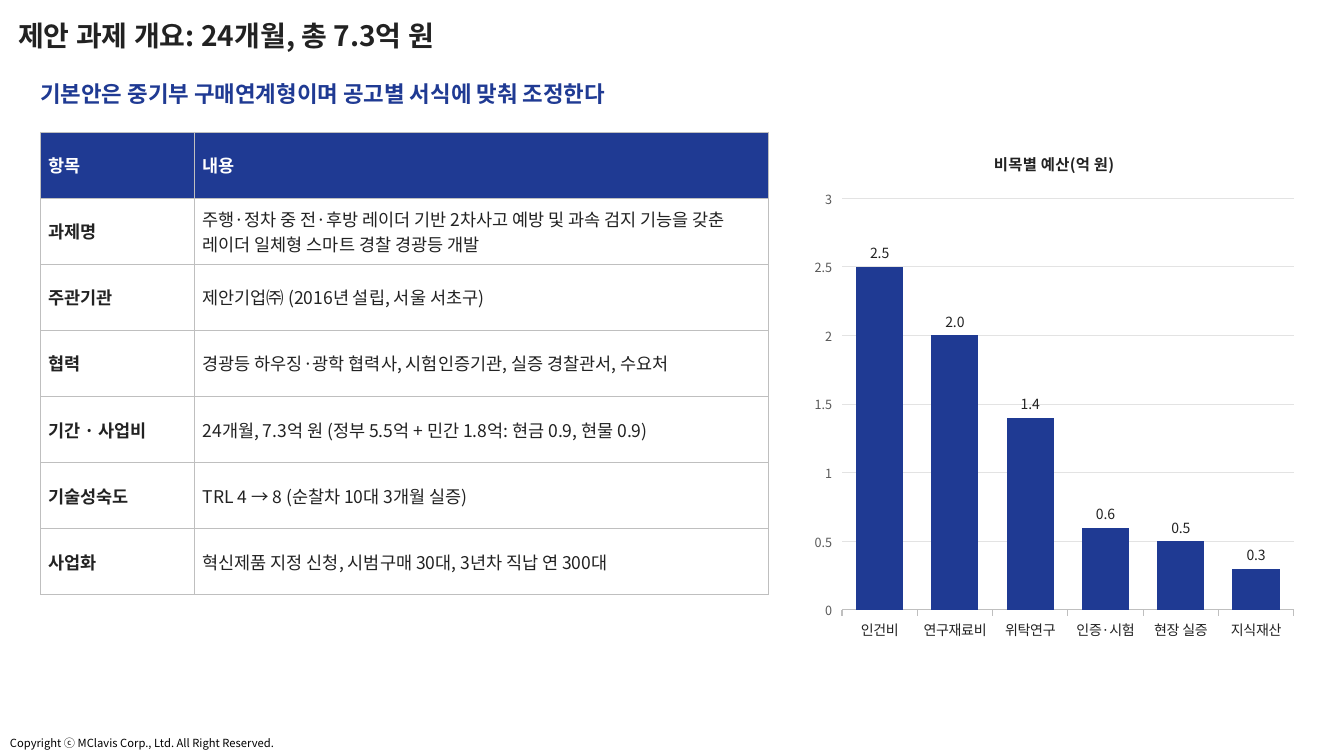
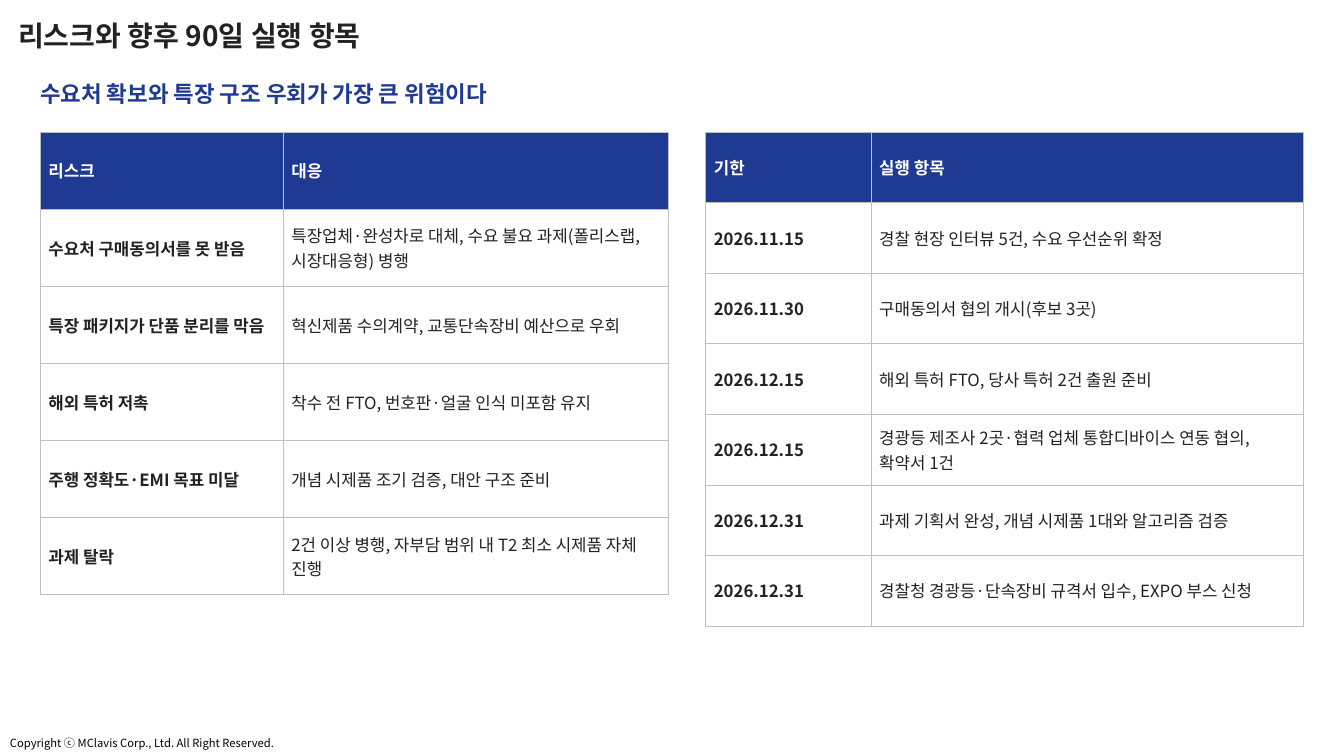
from dataclasses import dataclass

from lxml import etree
from pptx import Presentation
from pptx.chart.data import CategoryChartData
from pptx.dml.color import RGBColor
from pptx.enum.chart import XL_CHART_TYPE, XL_LABEL_POSITION, XL_TICK_LABEL_POSITION, XL_TICK_MARK
from pptx.enum.text import MSO_ANCHOR, MSO_AUTO_SIZE, PP_ALIGN
from pptx.oxml.ns import qn
from pptx.util import Pt

EMU_PER_PX = 9144
MIDDLE, TOP = MSO_ANCHOR.MIDDLE, MSO_ANCHOR.TOP
LEFT, CENTER = PP_ALIGN.LEFT, PP_ALIGN.CENTER
NO_FIT = MSO_AUTO_SIZE.NONE
FIT_SHAPE = MSO_AUTO_SIZE.SHAPE_TO_FIT_TEXT
COLUMNS = XL_CHART_TYPE.COLUMN_CLUSTERED
OUTSIDE_END = XL_LABEL_POSITION.OUTSIDE_END
LABELS_LOW = XL_TICK_LABEL_POSITION.LOW
TICK_OUT = XL_TICK_MARK.OUTSIDE
TITLE_ONLY = 5


@dataclass(frozen=True)
class Theme:
    font: str = "Noto Sans CJK KR"
    navy: str = "1F3A93"
    ink: str = "222222"
    black: str = "000000"
    white: str = "FFFFFF"
    border: str = "BFBFBF"
    grid: str = "E3E3E3"
    axis_ink: str = "595959"
    title: float = 20
    message: float = 16
    table_large: float = 12.5
    table: float = 12
    chart_title: float = 11
    chart: float = 10
    axis: float = 9
    footer: float = 8


THEME = Theme()
COPYRIGHT = "Copyright ⓒ MClavis Corp., Ltd. All Right Reserved."

OVERVIEW = [
    ("항목", "내용"),
    ("과제명", "주행·정차 중 전·후방 레이더 기반 2차사고 예방 및 과속 검지 기능을 갖춘 레이더 일체형 스마트 경찰 경광등 개발"),
    ("주관기관", "제안기업㈜ (2016년 설립, 서울 서초구)"),
    ("협력", "경광등 하우징·광학 협력사, 시험인증기관, 실증 경찰관서, 수요처"),
    ("기간 · 사업비", "24개월, 7.3억 원 (정부 5.5억 + 민간 1.8억: 현금 0.9, 현물 0.9)"),
    ("기술성숙도", "TRL 4 → 8 (순찰차 10대 3개월 실증)"),
    ("사업화", "혁신제품 지정 신청, 시범구매 30대, 3년차 직납 연 300대"),
]
BUDGET = {
    "인건비": 2.5, "연구재료비": 2, "위탁연구": 1.4,
    "인증·시험": 0.6, "현장 실증": 0.5, "지식재산": 0.3,
}
RISKS = [
    ("리스크", "대응"),
    ("수요처 구매동의서를 못 받음", "특장업체·완성차로 대체, 수요 불요 과제(폴리스랩, 시장대응형) 병행"),
    ("특장 패키지가 단품 분리를 막음", "혁신제품 수의계약, 교통단속장비 예산으로 우회"),
    ("해외 특허 저촉", "착수 전 FTO, 번호판·얼굴 인식 미포함 유지"),
    ("주행 정확도·EMI 목표 미달", "개념 시제품 조기 검증, 대안 구조 준비"),
    ("과제 탈락", "2건 이상 병행, 자부담 범위 내 T2 최소 시제품 자체 진행"),
]
ACTIONS = [
    ("기한", "실행 항목"),
    ("2026.11.15", "경찰 현장 인터뷰 5건, 수요 우선순위 확정"),
    ("2026.11.30", "구매동의서 협의 개시(후보 3곳)"),
    ("2026.12.15", "해외 특허 FTO, 당사 특허 2건 출원 준비"),
    ("2026.12.15", "경광등 제조사 2곳·협력 업체 통합디바이스 연동 협의, 확약서 1건"),
    ("2026.12.31", "과제 기획서 완성, 개념 시제품 1대와 알고리즘 검증"),
    ("2026.12.31", "경찰청 경광등·단속장비 규격서 입수, EXPO 부스 신청"),
]


def px(*lengths):
    return [length * EMU_PER_PX for length in lengths]


def rgb(color):
    return RGBColor.from_string(color)


def add_east_asian_font(properties):
    etree.SubElement(properties, qn("a:ea"), typeface=THEME.font)


def style_font(font, size, color, bold=False):
    font.name = THEME.font
    font.size = Pt(size)
    font.bold = bold
    font.color.rgb = rgb(color)


def write(frame, text, *, size, color=THEME.ink, bold=False, anchor=MIDDLE,
          align=LEFT, line_spacing=None, space_after=None):
    frame.vertical_anchor = anchor
    paragraph = frame.paragraphs[0]
    paragraph.alignment = align
    paragraph.line_spacing = line_spacing
    if space_after is not None:
        paragraph.space_after = Pt(space_after)
    run = paragraph.add_run()
    run.text = text
    style_font(run.font, size, color, bold)
    add_east_asian_font(run.font._element)


def set_margins(owner, horizontal, vertical):
    owner.margin_left = owner.margin_right = px(horizontal)[0]
    owner.margin_top = owner.margin_bottom = px(vertical)[0]


def move_footer_to_layout(slide):
    footer = slide.shapes.add_textbox(*px(0, 726, 283, 24))
    footer.text_frame.word_wrap = False
    footer.text_frame.auto_size = FIT_SHAPE
    write(footer.text_frame, COPYRIGHT, size=THEME.footer, color=THEME.black, anchor=TOP)
    layout_shapes = slide.slide_layout.shapes
    next_id = max(shape.shape_id for shape in layout_shapes) + 1
    footer.element.nvSpPr.cNvPr.set("id", str(next_id))
    layout_shapes.element.append(footer.element)


def add_titled_slide(presentation, heading, message):
    slide = presentation.slides.add_slide(presentation.slide_layouts[TITLE_ONLY])
    title = slide.shapes.title
    title.left, title.top, title.width, title.height = px(8, 18, 1150, 39)
    title.text_frame.auto_size = NO_FIT
    write(title.text_frame, heading, size=THEME.title, bold=True, line_spacing=0.9)
    subtitle = slide.shapes.add_textbox(*px(40, 70, 1253, 46)).text_frame
    subtitle.word_wrap = True
    set_margins(subtitle, 0, 0)
    write(subtitle, message, size=THEME.message, color=THEME.navy, bold=True, space_after=4)
    return slide


def add_borders(cell):
    properties = cell._tc.get_or_add_tcPr()
    for position, side in enumerate(("lnL", "lnR", "lnT", "lnB")):
        border = etree.Element(qn(f"a:{side}"), w=str(Pt(0.5)))
        fill = etree.SubElement(border, qn("a:solidFill"))
        etree.SubElement(fill, qn("a:srgbClr"), val=THEME.border)
        properties.insert(position, border)


def add_grid(slide, rows, box, first_width, size):
    left, top, width, height = px(*box)
    grid = slide.shapes.add_table(len(rows), 2, left, top, width, height).table
    grid.horz_banding = False
    grid.columns[0].width = px(first_width)[0]
    grid.columns[1].width = width - grid.columns[0].width
    for row_index, entries in enumerate(rows):
        header = row_index == 0
        grid.rows[row_index].height = height // len(rows)
        for column_index, entry in enumerate(entries):
            cell = grid.cell(row_index, column_index)
            cell.fill.solid()
            cell.fill.fore_color.rgb = rgb(THEME.navy if header else THEME.white)
            add_borders(cell)
            set_margins(cell, 8, 4)
            cell.vertical_anchor = MIDDLE
            write(cell.text_frame, entry, size=size, bold=header or column_index == 0,
                  color=THEME.white if header else THEME.ink, anchor=None)


def style_line(line, color):
    line.color.rgb = rgb(color)
    line.width = Pt(0.75)


def add_budget_chart(slide, box):
    budget = CategoryChartData()
    budget.categories = list(BUDGET)
    budget.add_series("Series 1", list(BUDGET.values()))
    chart = slide.shapes.add_chart(COLUMNS, *px(*box), budget).chart
    style_font(chart.font, THEME.chart, THEME.ink)
    chart.has_legend = False
    chart.has_title = True
    chart.chart_title.include_in_layout = False

    costs = chart.category_axis
    costs.tick_label_position = LABELS_LOW
    costs.major_tick_mark = TICK_OUT
    style_line(costs.format.line, THEME.border)
    style_font(costs.tick_labels.font, THEME.chart, THEME.ink)

    amounts = chart.value_axis
    amounts.minimum_scale, amounts.maximum_scale = 0, 3
    amounts.major_unit = 0.5
    amounts.major_tick_mark = TICK_OUT
    amounts.format.line.fill.background()
    style_line(amounts.major_gridlines.format.line, THEME.grid)
    style_font(amounts.tick_labels.font, THEME.axis, THEME.axis_ink)

    plot = chart.plots[0]
    plot.gap_width = 60
    plot.vary_by_categories = False
    bars = plot.series[0]
    bars.format.fill.solid()
    bars.format.fill.fore_color.rgb = rgb(THEME.navy)
    labels = bars.data_labels
    labels.show_value = True
    labels.position = OUTSIDE_END
    labels.number_format = "0.0"
    labels.number_format_is_linked = False
    style_font(labels.font, THEME.chart, THEME.ink)

    for properties in chart.element.iter(qn("a:defRPr")):
        if properties.find(qn("a:latin")) is not None:
            add_east_asian_font(properties)
    write(chart.chart_title.text_frame, "비목별 예산(억 원)", size=THEME.chart_title,
          bold=True, anchor=None, align=CENTER)


def main():
    presentation = Presentation()
    presentation.slide_width, presentation.slide_height = px(1333, 750)

    overview = add_titled_slide(presentation, "제안 과제 개요: 24개월, 총 7.3억 원",
                                "기본안은 중기부 구매연계형이며 공고별 서식에 맞춰 조정한다")
    move_footer_to_layout(overview)
    add_grid(overview, OVERVIEW, (40, 131, 722, 459), 153, THEME.table_large)
    add_budget_chart(overview, (798, 131, 495, 514))

    plan = add_titled_slide(presentation, "리스크와 향후 90일 실행 항목",
                            "수요처 확보와 특장 구조 우회가 가장 큰 위험이다")
    add_grid(plan, RISKS, (40, 131, 623, 459), 241, THEME.table)
    add_grid(plan, ACTIONS, (700, 131, 593, 490), 164, THEME.table)

    presentation.save("out.pptx")


if __name__ == "__main__":
    main()
